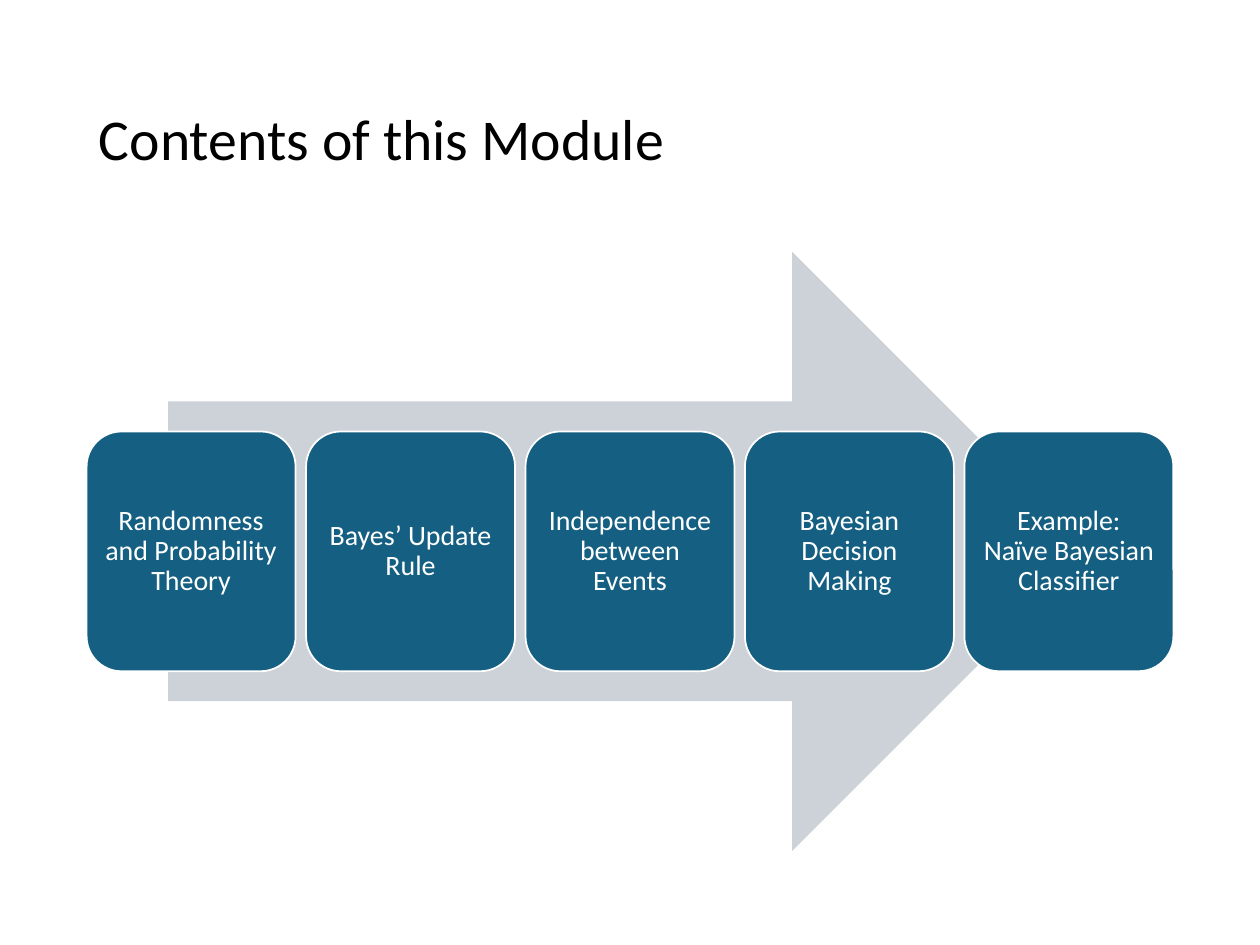
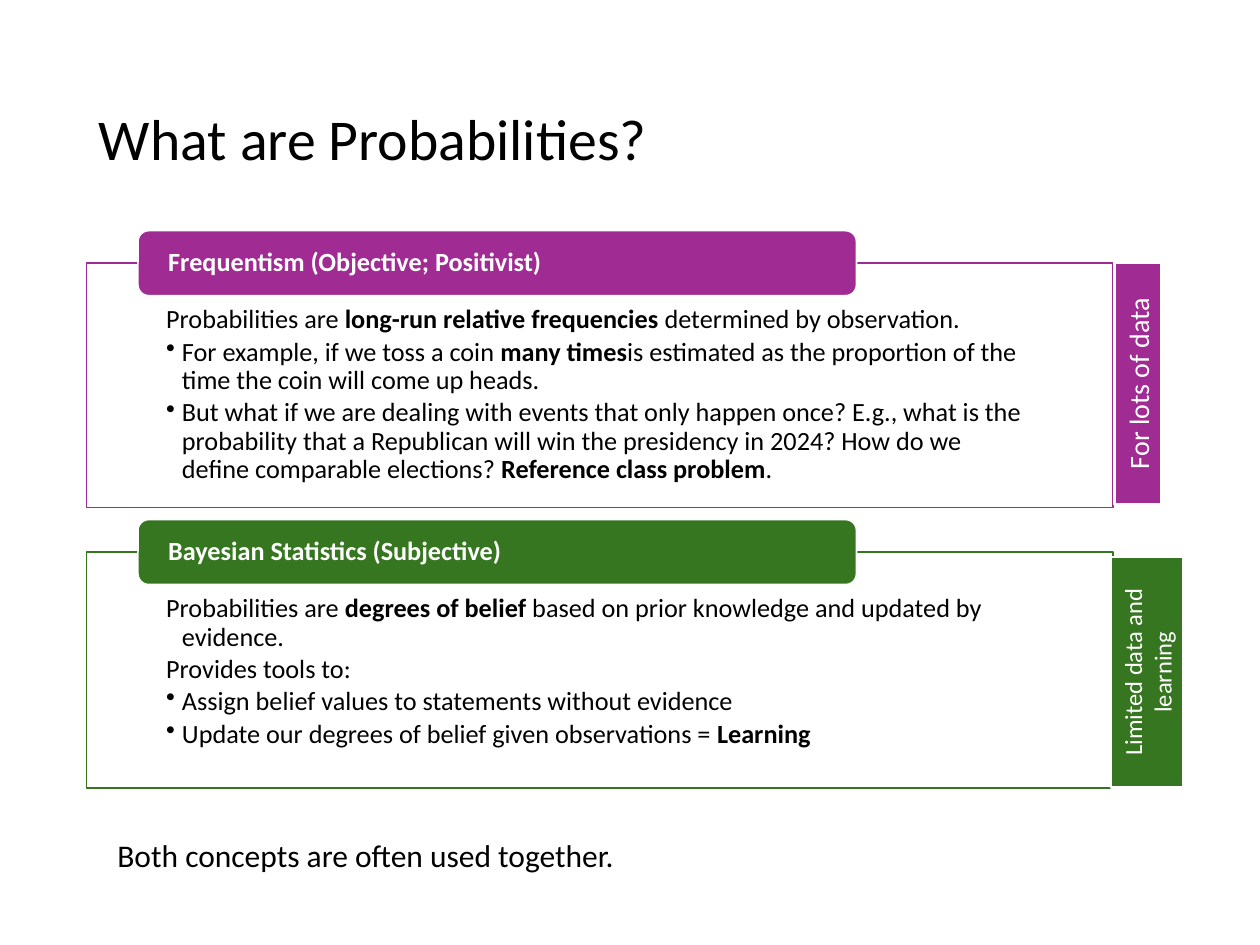
from dataclasses import dataclass
from typing import Any, Optional

from lxml.etree import SubElement
from pptx import Presentation
from pptx.dml.color import RGBColor
from pptx.enum.shapes import MSO_SHAPE
from pptx.enum.text import MSO_ANCHOR, PP_ALIGN
from pptx.oxml.ns import qn
from pptx.util import Pt


# Theme
@dataclass(frozen=True)
class Theme:
    font: str = "Calibri"
    black: str = "000000"
    white: str = "FFFFFF"
    arrow: str = "CCD2D8"
    blue: str = "156082"
    purple: str = "A02B93"
    green: str = "377620"
    title_size: float = 33
    topic_size: float = 16
    view_size: float = 15
    note_size: float = 18
    tight: float = 0.9


THEME = Theme()
MARGIN = 49.5
CONTENT_WIDTH = 621
DEFAULT_INSETS = (7.2, 3.6, 7.2, 3.6)


# Building blocks
@dataclass(frozen=True)
class Box:
    left: float
    top: float
    width: float
    height: float

    def lengths(self) -> tuple:
        return tuple(Pt(n) for n in (self.left, self.top, self.width, self.height))


@dataclass(frozen=True)
class Span:
    text: str
    bold: bool = False


@dataclass(frozen=True)
class Para:
    spans: tuple[Span, ...]
    bullet: bool = False


@dataclass(frozen=True)
class TextStyle:
    size: float
    color: str = THEME.white
    align: PP_ALIGN = PP_ALIGN.LEFT
    anchor: MSO_ANCHOR = MSO_ANCHOR.MIDDLE
    insets: tuple[float, ...] = DEFAULT_INSETS
    line_spacing: float = THEME.tight
    space_after: float = 0
    hanging: float = 0


@dataclass(frozen=True)
class Tag:
    text: str
    center_x: float
    center_y: float
    length: float
    thickness: float
    size: float


@dataclass(frozen=True)
class View:
    heading: str
    color: str
    top: float
    height: float
    paras: tuple[Para, ...]
    tag: Tag


def plain(text: str, bold: bool = False) -> tuple[Para, ...]:
    return (Para((Span(text, bold),)),)


def set_format(target: Any, values: dict[str, Any]) -> None:
    for name, value in values.items():
        setattr(target, name, value)


def write_text(shape: Any, paras: tuple[Para, ...], style: TextStyle) -> None:
    frame = shape.text_frame
    left, top, right, bottom = (Pt(n) for n in style.insets)
    set_format(frame, {
        "word_wrap": True, "vertical_anchor": style.anchor,
        "margin_left": left, "margin_top": top,
        "margin_right": right, "margin_bottom": bottom,
    })
    for index, content in enumerate(paras):
        para = frame.paragraphs[0] if index == 0 else frame.add_paragraph()
        set_format(para, {
            "alignment": style.align, "line_spacing": style.line_spacing,
            "space_after": Pt(style.space_after),
        })
        properties = para._p.get_or_add_pPr()
        if style.hanging:
            properties.set("marL", str(Pt(style.hanging)))
            properties.set("indent", str(-Pt(style.hanging)))
        if content.bullet:
            SubElement(properties, qn("a:buChar")).set("char", "•")
        for span in content.spans:
            run = para.add_run()
            run.text = span.text
            set_format(run.font, {
                "name": THEME.font, "size": Pt(style.size), "bold": span.bold,
            })
            run.font.color.rgb = RGBColor.from_string(style.color)


def add_block(slide: Any, kind: MSO_SHAPE, box: Box, fill: str,
              line: Optional[str] = None, line_width: float = 1) -> Any:
    shape = slide.shapes.add_shape(kind, *box.lengths())
    shape.shadow.inherit = False
    shape.fill.solid()
    shape.fill.fore_color.rgb = RGBColor.from_string(fill)
    if line is None:
        shape.line.fill.background()
    else:
        shape.line.color.rgb = RGBColor.from_string(line)
        shape.line.width = Pt(line_width)
    return shape


def add_text(slide: Any, box: Box, text: str, style: TextStyle) -> None:
    write_text(slide.shapes.add_textbox(*box.lengths()), plain(text), style)


def add_titled_slide(deck: Any, title: str) -> Any:
    slide = deck.slides.add_slide(deck.slide_layouts[6])
    add_text(slide, Box(MARGIN, 28.75, CONTENT_WIDTH, 104.4), title,
             TextStyle(THEME.title_size, THEME.black))
    return slide


# Slide 1: topics along an arrow
TOPICS = (
    "Randomness and Probability Theory",
    "Bayes’ Update Rule",
    "Independence between Events",
    "Bayesian Decision Making",
    "Example: Naïve Bayesian Classifier",
)


def build_contents(deck: Any) -> None:
    slide = add_titled_slide(deck, "Contents of this Module")
    arrow_width = 0.85 * CONTENT_WIDTH
    arrow = Box(MARGIN + (CONTENT_WIDTH - arrow_width) / 2, 143.8, arrow_width, 342.6)
    add_block(slide, MSO_SHAPE.RIGHT_ARROW, arrow, THEME.arrow)

    # Gaps are 5% of a topic's width
    count = len(TOPICS)
    width = CONTENT_WIDTH / (count + 0.05 * (count - 1))
    height = 0.4 * arrow.height
    top = arrow.top + (arrow.height - height) / 2
    style = TextStyle(THEME.topic_size, align=PP_ALIGN.CENTER, insets=(4.8,) * 4)
    for index, topic in enumerate(TOPICS):
        box = Box(MARGIN + index * 1.05 * width, top, width, height)
        shape = add_block(slide, MSO_SHAPE.ROUNDED_RECTANGLE, box, THEME.blue, THEME.white)
        write_text(shape, plain(topic), style)


# Slide 2: two views of probability
VIEWS = (
    View("Frequentism (Objective; Positivist)", THEME.purple, 150.4, 139.7, (
        Para((Span("Probabilities are "),
              Span("long-run relative frequencies ", True),
              Span("determined by observation."))),
        Para((Span("For example, if we toss a coin "),
              Span("many times", True),
              Span("is estimated as the proportion of the time the coin "
                   "will come up heads.")), True),
        Para((Span("But what if we are dealing with events that only happen once? "
                   "E.g., what is the probability that a Republican will win the "
                   "presidency in 2024? How do we define comparable elections? "),
              Span("Reference class problem", True),
              Span(".")), True),
    ), Tag("For lots of data", 650.2, 219.2, 138.2, 26.7, 16)),
    View("Bayesian Statistics (Subjective)", THEME.green, 315.5, 134.7, (
        Para((Span("Probabilities are "),
              Span("degrees of belief", True),
              Span(" based on prior knowledge and updated by evidence."))),
        Para((Span("Provides tools to:"),)),
        Para((Span("Assign belief values to statements without evidence"),), True),
        Para((Span("Update our degrees of belief given observations = "),
              Span("Learning", True)), True),
    ), Tag("Limited data and learning", 655.5, 384.1, 131.8, 41.2, 14)),
)
VIEW_WIDTH = 586.6
HEADING_HEIGHT = 37.2


def add_view(slide: Any, view: View) -> None:
    panel = add_block(slide, MSO_SHAPE.RECTANGLE,
                      Box(MARGIN, view.top, VIEW_WIDTH, view.height),
                      THEME.white, view.color)
    write_text(panel, view.paras, TextStyle(
        THEME.view_size, THEME.black, anchor=MSO_ANCHOR.TOP,
        insets=(45.5, 24.6, 45.5, 8.4), space_after=2.25, hanging=9))

    # The heading straddles the panel's top edge
    heading = add_block(slide, MSO_SHAPE.ROUNDED_RECTANGLE,
                        Box(MARGIN + 0.05 * VIEW_WIDTH, view.top - HEADING_HEIGHT / 2,
                            0.7 * VIEW_WIDTH, HEADING_HEIGHT),
                        view.color, THEME.white)
    write_text(heading, plain(view.heading, True),
               TextStyle(THEME.view_size, insets=(15.5, 0, 15.5, 0)))


def add_tag(slide: Any, tag: Tag, color: str) -> None:
    box = Box(tag.center_x - tag.length / 2, tag.center_y - tag.thickness / 2,
              tag.length, tag.thickness)
    shape = add_block(slide, MSO_SHAPE.RECTANGLE, box, color, THEME.white, 1.5)
    shape.rotation = 270
    write_text(shape, plain(tag.text),
               TextStyle(tag.size, align=PP_ALIGN.CENTER, line_spacing=1.0))


def build_probabilities(deck: Any) -> None:
    slide = add_titled_slide(deck, "What are Probabilities?")
    for view in VIEWS:
        add_view(slide, view)
    for view in VIEWS:
        add_tag(slide, view.tag, view.color)
    add_text(slide, Box(60, 474, 318, 29), "Both concepts are often used together.",
             TextStyle(THEME.note_size, THEME.black, anchor=MSO_ANCHOR.TOP,
                       line_spacing=1.0))


def main() -> None:
    deck = Presentation()
    set_format(deck, {"slide_width": Pt(720), "slide_height": Pt(540)})
    build_contents(deck)
    build_probabilities(deck)
    deck.save("out.pptx")


if __name__ == "__main__":
    main()
